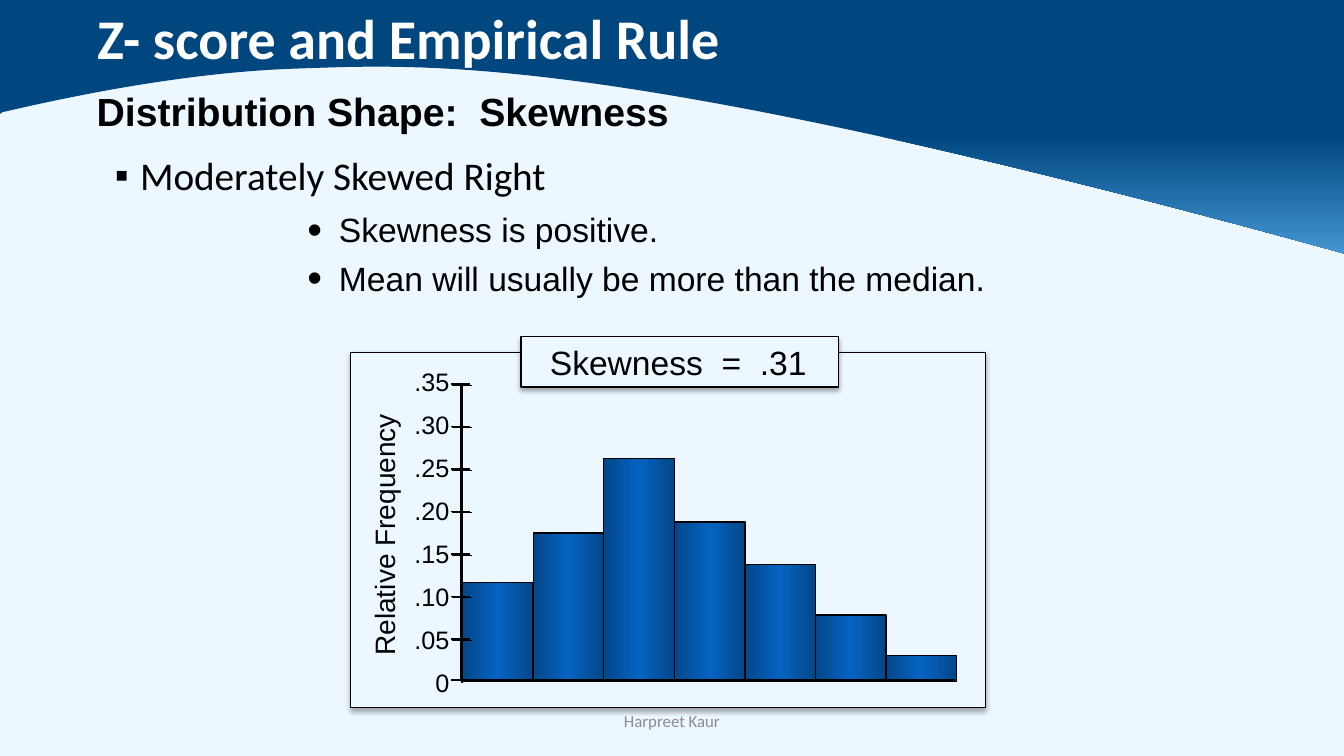
"""Build the slide on positively skewed distributions."""
import lxml.etree
import pptx
import pptx.dml.color
import pptx.enum.shapes
import pptx.enum.text
import pptx.oxml
import pptx.oxml.ns
import pptx.util

Pt = pptx.util.Pt
ALIGN = pptx.enum.text.PP_ALIGN
ANCHOR = pptx.enum.text.MSO_ANCHOR
QN = pptx.oxml.ns.qn
BLACK, PALE, WHITE = "000000", "ECF7FF", "FFFFFF"
SOFT_SHADOW = (32, 3.5, 2.2, 90)
HARD_SHADOW = (100, 0, 1.4, 45)
BAR_STOPS = [(0, "04478A"), (50, "0563C1"), (100, "04478A")]
WAVE_STOPS = [(0, "4495D1"), (94, "00467F"), (100, "00467F")]
BAR_SHADE = '<a:lin ang="0" scaled="1"/>'
CORNER_SHADE = '<a:path path="rect"><a:fillToRect l="100000" t="100000"/></a:path>'


def color(value):
    return pptx.dml.color.RGBColor.from_string(value)


def bezier(start, first, second, end, steps=40):
    for step in range(1, steps + 1):
        t = step / steps
        weights = ((1 - t) ** 3, 3 * t * (1 - t) ** 2, 3 * t * t * (1 - t), t ** 3)
        points = (start, first, second, end)
        yield tuple(sum(w * p[axis] for w, p in zip(weights, points)) for axis in (0, 1))


class SlidePainter:
    """Hold the text style and current slide."""

    def __init__(self, page, font="Arial"):
        self.page = page
        self.font = font

    def background(self, value):
        fill = self.page.background.fill
        fill.solid()
        fill.fore_color.rgb = color(value)

    def gradient(self, shape, stops, direction):
        shape.fill.solid()
        solid = shape._element.spPr.find(QN("a:solidFill"))
        marks = "".join(
            f'<a:gs pos="{at * 1000}"><a:srgbClr val="{value}"/></a:gs>' for at, value in stops)
        solid.getparent().replace(solid, pptx.oxml.parse_xml(
            f'<a:gradFill {pptx.oxml.ns.nsdecls("a")} rotWithShape="1">'
            f"<a:gsLst>{marks}</a:gsLst>{direction}</a:gradFill>"))

    def shadow(self, effects, settings):
        opacity, blur, distance, angle = settings
        outer = lxml.etree.SubElement(
            effects, QN("a:outerShdw"), blurRad=str(Pt(blur)), dist=str(Pt(distance)),
            dir=str(angle * 60000), algn="ctr", rotWithShape="0")
        shade = lxml.etree.SubElement(outer, QN("a:srgbClr"), val=BLACK)
        lxml.etree.SubElement(shade, QN("a:alpha"), val=str(opacity * 1000))

    def wave(self, start, corners, curves):
        points = list(corners)
        for curve in curves:
            points.extend(bezier(points[-1], *curve))
        builder = self.page.shapes.build_freeform(Pt(start[0]), Pt(start[1]))
        builder.add_line_segments([(Pt(x), Pt(y)) for x, y in points], close=True)
        shape = builder.convert_to_shape()
        shape.shadow.inherit = False
        shape.line.fill.background()
        self.gradient(shape, WAVE_STOPS, CORNER_SHADE)

    def rectangle(self, place, fill=None, width=1.0, shadow=None):
        shape = self.page.shapes.add_shape(
            pptx.enum.shapes.MSO_SHAPE.RECTANGLE, *map(Pt, place))
        shape.shadow.inherit = False
        if fill:
            shape.fill.solid()
            shape.fill.fore_color.rgb = color(fill)
        else:
            self.gradient(shape, BAR_STOPS, BAR_SHADE)
        shape.line.color.rgb = color(BLACK)
        shape.line.width = Pt(width)
        if shadow:
            self.shadow(shape._element.spPr.find(QN("a:effectLst")), shadow)
        return shape

    def line(self, start, end, width=1.0, shadow=None):
        line = self.page.shapes.add_connector(
            pptx.enum.shapes.MSO_CONNECTOR.STRAIGHT, *map(Pt, start + end))
        line.line.color.rgb = color(BLACK)
        line.line.width = Pt(width)
        effects = lxml.etree.SubElement(line._element.spPr, QN("a:effectLst"))
        if shadow:
            self.shadow(effects, shadow)

    def bullet(self, para, mark, margin, hanging, percent):
        settings = para._p.get_or_add_pPr()
        settings.set("marL", str(Pt(margin)))
        settings.set("indent", str(Pt(-hanging)))
        lxml.etree.SubElement(settings, QN("a:buSzPct"), val=str(percent * 1000))
        lxml.etree.SubElement(settings, QN("a:buFont"), typeface="Arial")
        lxml.etree.SubElement(settings, QN("a:buChar"), char=mark)

    def fill_text(self, frame, lines, size, value=BLACK, font=None, bold=False,
                  align=ALIGN.LEFT, spacing=None, before=0, bullet=None):
        for index, words in enumerate(lines):
            para = frame.add_paragraph() if index else frame.paragraphs[0]
            para.add_run().text = words
            if bullet:
                self.bullet(para, *bullet)
            para.alignment = align
            if spacing:
                para.line_spacing = spacing
            if index:
                para.space_before = Pt(before)
            para.font.name = font or self.font
            para.font.size = Pt(size)
            para.font.bold = bold
            para.font.color.rgb = color(value)

    def text(self, place, lines, size, wrap=True, turn=0, anchor=ANCHOR.TOP, **style):
        box = self.page.shapes.add_textbox(*map(Pt, place))
        box.rotation = turn
        box.text_frame.word_wrap = wrap
        box.text_frame.vertical_anchor = anchor
        self.fill_text(box.text_frame, lines, size, **style)


def draw_headings(painter):
    painter.text((62.5, 8.2, 600, 50), ["Z- score and Empirical Rule"], 40,
                 value=WHITE, font="Calibri", bold=True, spacing=0.8)
    painter.text((62, 62.5, 451, 42), ["Distribution Shape:  Skewness"], 28,
                 bold=True, spacing=0.9)
    painter.text((75, 108, 612, 40), ["Moderately Skewed Right"], 28,
                 font="Calibri", spacing=0.9, bullet=("▪", 18, 18, 100))
    painter.text((176.5, 146, 612, 75),
                 ["Skewness is positive.", "Mean will usually be more than the median."],
                 24, before=6, bullet=("•", 58.5, 22.5, 125))
    painter.text((318, 500.5, 324, 29), ["Harpreet Kaur"], 12, value="8C8C8C",
                 font="Calibri", align=ALIGN.CENTER, anchor=ANCHOR.MIDDLE)


def draw_histogram(painter):
    painter.rectangle((250.5, 251.5, 453.5, 253.5), PALE, 0.5, SOFT_SHADOW)
    painter.text((180, 366.5, 188.5, 31), ["Relative Frequency"], 20,
                 wrap=False, turn=270, align=ALIGN.CENTER)

    baseline, bar_width = 486.7, 50.4
    for index, height in enumerate((70.6, 106, 159, 113.8, 83.5, 47.3, 18.4)):
        painter.rectangle((330.5 + index * bar_width, baseline - height, bar_width, height))

    caption = painter.rectangle((372.3, 240.5, 226.5, 36), PALE, 1, SOFT_SHADOW)
    frame = caption.text_frame
    frame.word_wrap = False
    frame.vertical_anchor = ANCHOR.MIDDLE
    frame.margin_left = Pt(20.5)
    painter.fill_text(frame, ["Skewness  =  .31"], 24)

    for index in range(8):
        label = f".{index * 5:02d}" if index else "0"
        painter.text((288.5, 473 - index * 30.7, 39.6, 29), [label], 18,
                     wrap=False, align=ALIGN.RIGHT)
        if index:
            height = baseline - index * 30.35
            painter.line((322, height), (336, height), shadow=HARD_SHADOW)
    painter.line((329, baseline), (329, 274.3), shadow=HARD_SHADOW)
    painter.line((322, 486), (682, 486), 1.5)


def main():
    deck = pptx.Presentation()
    deck.slide_width, deck.slide_height = Pt(960), Pt(540)
    page = deck.slides.add_slide(deck.slide_layouts[6])
    painter = SlidePainter(page)
    painter.background(PALE)
    painter.wave((0, 81.4), [(0, 0), (960, 0), (960, 181)],
                 [((433.5, 35.3), (300.2, 46.1), (211.7, 49)),
                  ((122.4, 51.8), (28.1, 74.2), (5.8, 79.2)),
                  ((0.7, 80.6), (2.9, 79.2), (0, 81.4))])
    draw_headings(painter)
    draw_histogram(painter)
    deck.save("out.pptx")


if __name__ == "__main__":
    main()
